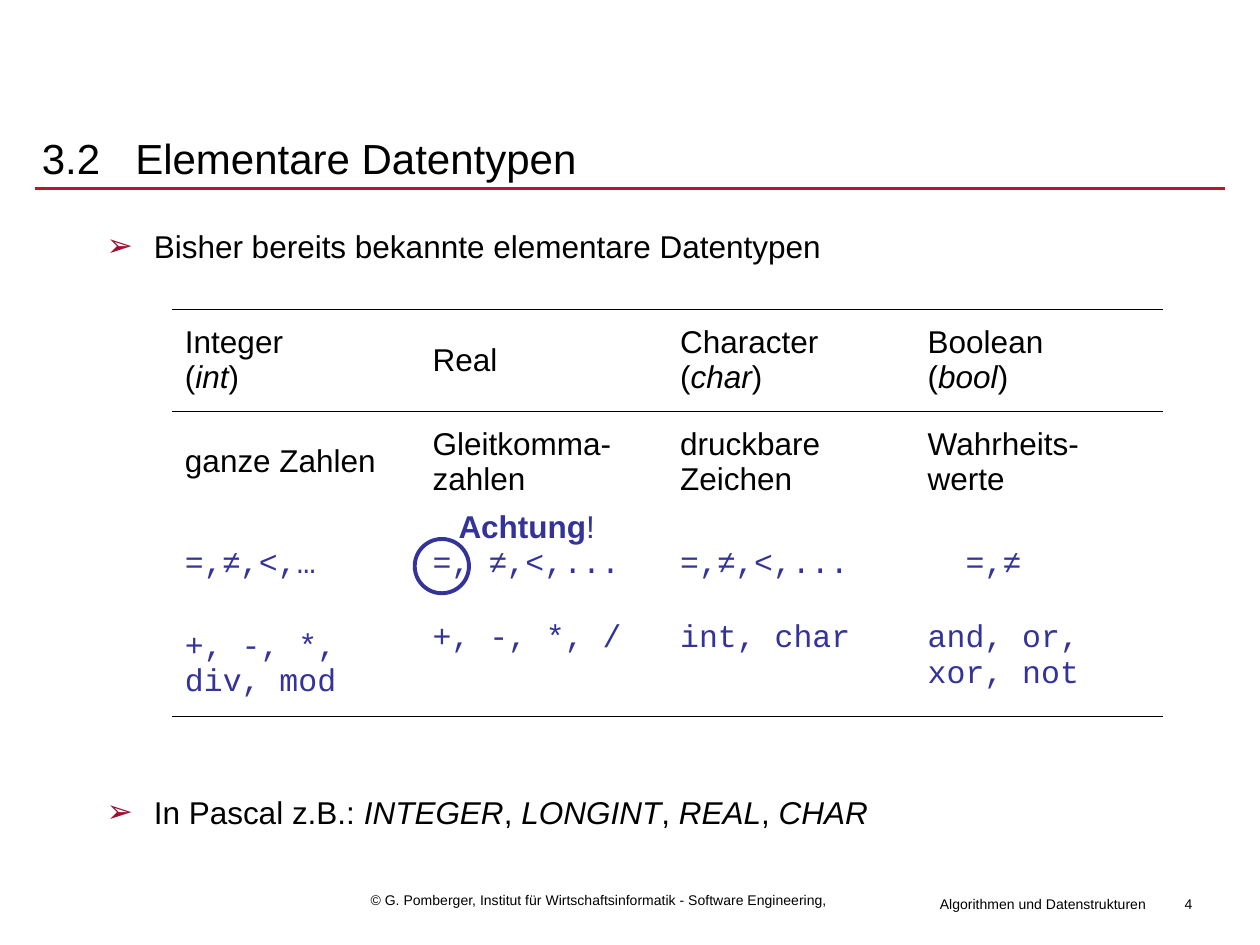
import pptx
import pptx.dml.color
import pptx.enum.shapes
import pptx.enum.text
import pptx.oxml.ns
import pptx.util
from lxml import etree

Pt = pptx.util.Pt
ALIGN = pptx.enum.text.PP_ALIGN
ANCHOR = pptx.enum.text.MSO_ANCHOR
BLUE, BLACK, RED = "333399", "000000", "B61A29"
MONO = "Courier New"


def tint(code):
    """Turn a hex string into a colour."""
    return pptx.dml.color.RGBColor.from_string(code)


def node(parent, tag, **attrs):
    """Append an XML element to a parent."""
    item = etree.SubElement(parent, pptx.oxml.ns.qn(tag))
    for key, value in attrs.items():
        item.set(key, str(value))
    return item


def put(para, text, size=18, font="Arial", color=BLACK, bold=False, ital=False):
    """Add formatted text to a paragraph, splitting it at line breaks."""
    for index, part in enumerate(text.split("\n")):
        if index:
            para.add_line_break()
        run = para.add_run()
        run.text = part
        run.font.size = Pt(size)
        run.font.name = font
        run.font.color.rgb = tint(color)
        run.font.bold = bold
        run.font.italic = ital


def mixed(para, text):
    """Add text whose parts between underscores are italic."""
    for index, part in enumerate(text.split("_")):
        if part:
            put(para, part, ital=index % 2 == 1)


def code(para, text):
    """Add blue code text with the unequal sign in Arial."""
    for index, part in enumerate(text.split("≠")):
        if index:
            put(para, "≠", color=BLUE)
        if part:
            put(para, part, font=MONO, color=BLUE)


def box(slide, left, top, width, height, align=ALIGN.LEFT):
    """Add a text box and return its frame."""
    frame = slide.shapes.add_textbox(Pt(left), Pt(top), Pt(width), Pt(height)).text_frame
    frame.word_wrap = True
    frame.paragraphs[0].alignment = align
    return frame


def rule(slide, left, right, top):
    """Draw the red line below the title."""
    line = slide.shapes.add_connector(
        pptx.enum.shapes.MSO_CONNECTOR.STRAIGHT, Pt(left), Pt(top), Pt(right), Pt(top))
    line.line.color.rgb = tint(RED)
    line.line.width = Pt(1.75)
    node(line._element.spPr, "a:effectLst")


def title(slide, number, text):
    """Add the numbered title."""
    frame = box(slide, 16.8, 62.6, 686, 55)
    frame.vertical_anchor = ANCHOR.MIDDLE
    para = frame.paragraphs[0]
    tabs = node(para._p.get_or_add_pPr(), "a:tabLst")
    node(tabs, "a:tab", pos=Pt(53.4), algn="l")
    put(para, number + "\t" + text, size=24)


def points(slide, texts, gap):
    """Add the bullet points with a gap between them."""
    frame = box(slide, 21, 126, 667, 370)
    for index, text in enumerate(texts):
        para = frame.add_paragraph() if index else frame.paragraphs[0]
        if index:
            para.space_before = Pt(gap)
        props = para._p.get_or_add_pPr()
        props.set("marL", str(Pt(59.8)))
        props.set("indent", str(Pt(-27)))
        node(node(props, "a:buClr"), "a:srgbClr", val="A20D30")
        node(props, "a:buFont", typeface="Arial")
        node(props, "a:buChar", char="➢")
        mixed(para, text)


def edge(cell, **widths):
    """Draw the named cell borders and hide the others."""
    props = cell._tc.get_or_add_tcPr()
    for side in "LRTB":
        width = widths.get(side, 0)
        line = node(props, "a:ln" + side, w=Pt(width))
        if width:
            node(node(line, "a:solidFill"), "a:srgbClr", val=BLACK)
        else:
            node(line, "a:noFill")


def grid(slide, rows):
    """Add the table of data types."""
    table = slide.shapes.add_table(
        len(rows), len(rows[0]), Pt(98.5), Pt(176.7), Pt(566), Pt(232.8)).table
    table.first_row = table.horz_banding = False
    for col in table.columns:
        col.width = Pt(141.5)
    edges = [{"T": 0.34, "B": 0.34}, {"T": 0.34}, {}, {"B": 1.08}]
    for r, texts in enumerate(rows):
        table.rows[r].height = Pt(58.2)
        for c, text in enumerate(texts):
            cell = table.cell(r, c)
            edge(cell, **edges[r])
            cell.fill.background()
            low = r == 3 and c > 0
            cell.vertical_anchor = ANCHOR.TOP if low else ANCHOR.MIDDLE
            write = mixed if r < 2 else code
            write(cell.text_frame.paragraphs[0], text)
    table.cell(2, 3).text_frame.paragraphs[0]._p.get_or_add_pPr().set("marL", str(Pt(21.6)))


def ring(slide, left, top, size):
    """Draw the blue circle around an operator."""
    oval = slide.shapes.add_shape(
        pptx.enum.shapes.MSO_SHAPE.OVAL, Pt(left), Pt(top), Pt(size), Pt(size))
    oval.shadow.inherit = False
    oval.fill.background()
    oval.line.color.rgb = tint(BLUE)
    oval.line.width = Pt(2.25)


def main():
    """Build and save the slide."""
    deck = pptx.Presentation()
    deck.slide_width, deck.slide_height = Pt(720), Pt(540)
    slide = deck.slides.add_slide(deck.slide_layouts[6])
    rule(slide, 19.8, 700, 107.8)
    feet = [
        ("4", 649.5, 508.3, 39, ALIGN.RIGHT),
        ("Algorithmen und Datenstrukturen", 530, 508.3, 136, ALIGN.LEFT),
        ("© G. Pomberger, Institut für Wirtschaftsinformatik - Software Engineering,",
         204.7, 505.8, 278, ALIGN.LEFT),
    ]
    for text, left, top, width, align in feet:
        put(box(slide, left, top, width, 17, align).paragraphs[0], text, size=8)
    title(slide, "3.2", "Elementare Datentypen")
    points(slide, [
        "Bisher bereits bekannte elementare Datentypen",
        "In Pascal z.B.: _INTEGER_, _LONGINT_, _REAL_, _CHAR_",
    ], 302)
    grid(slide, [
        ["Integer\n(_int_)", "Real", "Character (_char_)", "Boolean\n(_bool_)"],
        ["ganze Zahlen", "Gleitkomma- zahlen", "druckbare Zeichen", "Wahrheits-werte"],
        ["=,≠,<,…", "=, ≠,<,...", "=,≠,<,...", "=,≠"],
        ["+, -, *, div, mod", "+, -, *, /", "int, char", "and, or, xor, not"],
    ])
    para = box(slide, 246, 286, 110, 29, ALIGN.CENTER).paragraphs[0]
    put(para, "Achtung", color=BLUE, bold=True)
    put(para, "!", color=BLUE)
    ring(slide, 237, 308, 31)
    deck.save("out.pptx")


if __name__ == "__main__":
    main()
